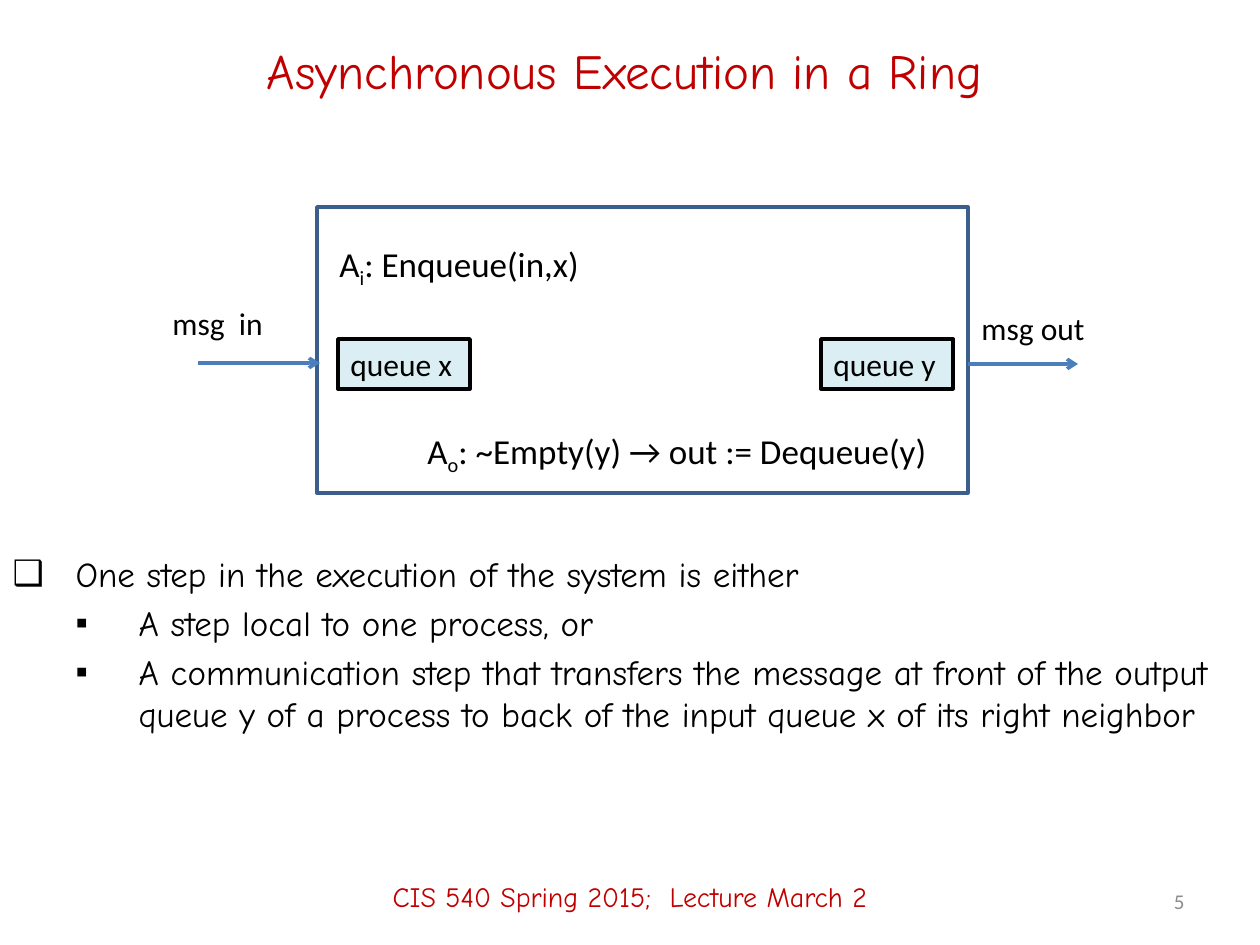
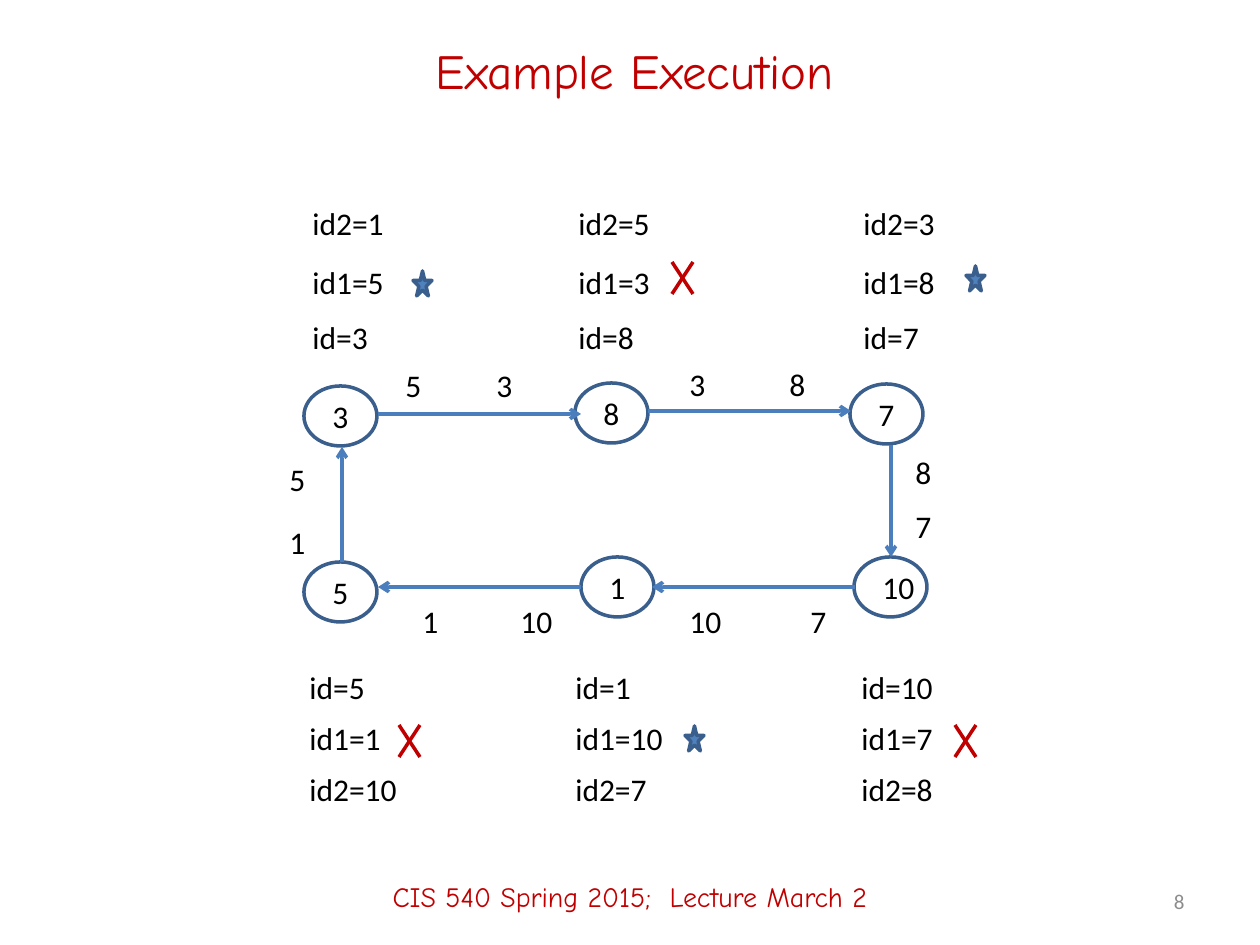
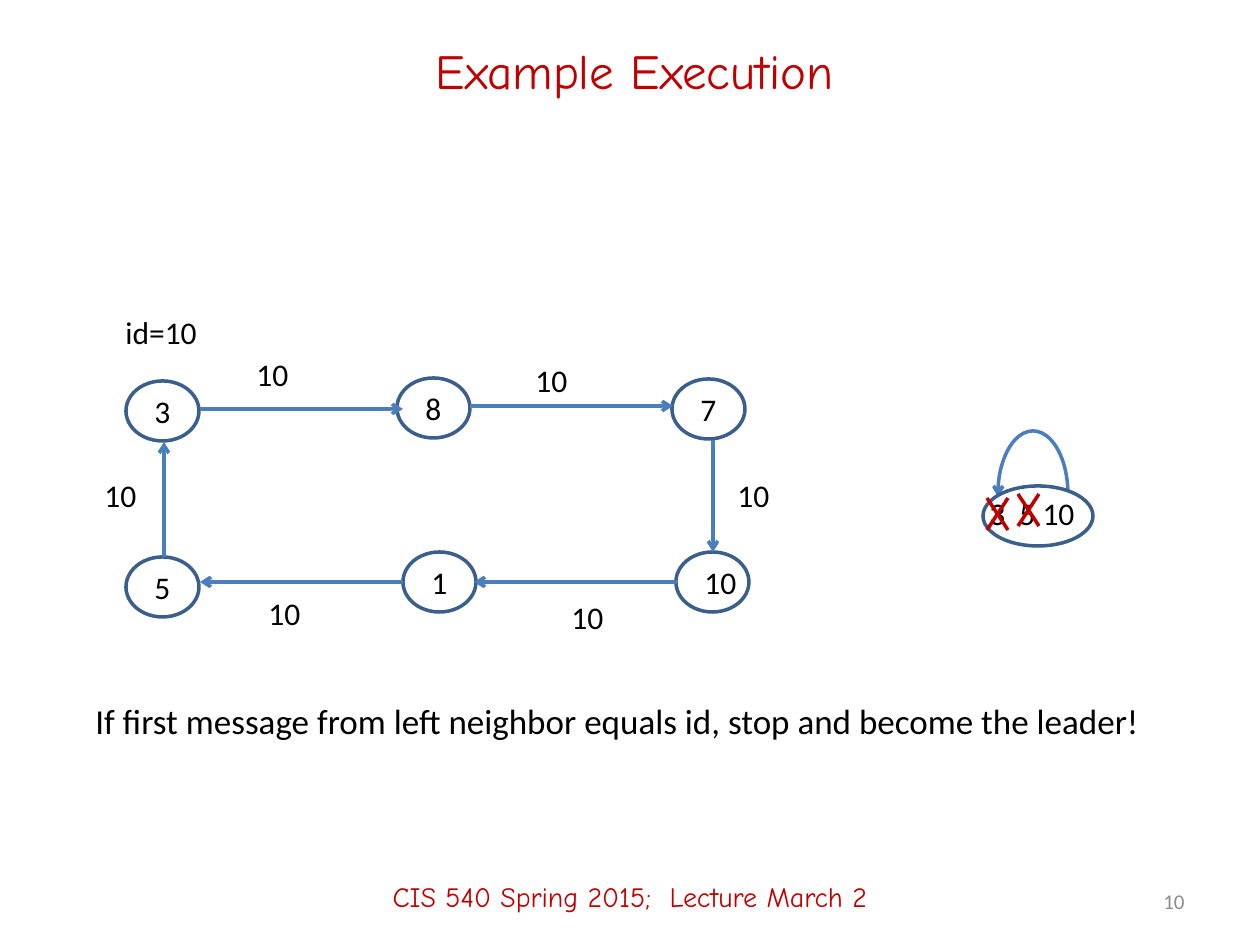
import pptx
import pptx.util
import pptx.dml.color
import pptx.enum.shapes
import pptx.enum.text
import pptx.oxml.ns
import lxml.etree

SCALE = 914400 / 126
RED = pptx.dml.color.RGBColor(0xC0, 0x00, 0x00)
BLACK = pptx.dml.color.RGBColor(0x00, 0x00, 0x00)
GRAY = pptx.dml.color.RGBColor(0x8C, 0x8C, 0x8C)
BLUE = pptx.dml.color.RGBColor(0x4F, 0x81, 0xBD)
ARROW_BLUE = pptx.dml.color.RGBColor(0x4B, 0x7E, 0xBC)
OUTLINE_BLUE = pptx.dml.color.RGBColor(0x3A, 0x5F, 0x8C)
PALE_BLUE = pptx.dml.color.RGBColor(0xDB, 0xEE, 0xF4)

SHAPE = pptx.enum.shapes.MSO_SHAPE
ALIGN = pptx.enum.text.PP_ALIGN
ANCHOR = pptx.enum.text.MSO_ANCHOR
FIT = pptx.enum.text.MSO_AUTO_SIZE
HEADING_FONT = "Comic Neue"
LABEL_FONT = "Calibri"
FOOTER = "CIS 540 Spring 2015;  Lecture March 2"

NODE_SIZE = (73, 60)
RING_NODES = [("3", 0, 3), ("8", 271, 0), ("7", 546, 1),
              ("10", 550, 174), ("1", 277, 174), ("5", 0, 179)]
RING_ARROWS = [((74, 31), (277, 31)), ((344, 28), (547, 28)),
               ((587, 62), (587, 174)), ((551, 204), (348, 204)),
               ((277, 204), (74, 204)), ((38, 179), (38, 64))]


def px(*lengths):
    return [pptx.util.Emu(round(length * SCALE)) for length in lengths]


def set_format(target, formats):
    for name, value in formats.items():
        setattr(target, name, value)


def set_font(font, size, name=LABEL_FONT, color=BLACK):
    set_format(font, {"size": pptx.util.Pt(size), "name": name, "bold": False})
    font.color.rgb = color


def add_xml(parent, tag, **attributes):
    return lxml.etree.SubElement(parent, pptx.oxml.ns.qn(tag), attributes)


def set_line(line, color):
    line.color.rgb = color
    line.width = pptx.util.Pt(2)


def place(shape, left, top, width, height):
    names = ("left", "top", "width", "height")
    set_format(shape, dict(zip(names, px(left, top, width, height))))


def write(box, text, size, name=LABEL_FONT, color=BLACK,
          align=ALIGN.LEFT, anchor=ANCHOR.TOP):
    frame = box.text_frame
    frame.vertical_anchor = anchor
    para = frame.paragraphs[0]
    para.alignment = align
    for index, part in enumerate(text.split("_")):
        span = para.add_run()
        span.text = part
        set_font(span.font, size, name, color)
        if index == 1:
            span._r.get_or_add_rPr().set("baseline", "-25000")


def add_label(page, text, left, top, width=None, size=18):
    natural = 26 + 16 * len(text) - 8 * text.count("i")
    height = 50 if size == 18 else 55
    box = page.shapes.add_textbox(*px(left, top, width or natural, height))
    set_format(box.text_frame, {"word_wrap": width is not None,
                                "auto_size": FIT.SHAPE_TO_FIT_TEXT})
    write(box, text, size)


def add_outline(page, kind, left, top, width, height, fill=None, line=OUTLINE_BLUE):
    shape = page.shapes.add_shape(kind, *px(left, top, width, height))
    shape.shadow.inherit = False
    if fill is None:
        shape.fill.background()
    else:
        shape.fill.solid()
        shape.fill.fore_color.rgb = fill
    set_line(shape.line, line)
    return shape


def add_line(page, start, end, color=ARROW_BLUE, arrow=True):
    line = page.shapes.add_connector(
        pptx.enum.shapes.MSO_CONNECTOR.STRAIGHT, *px(*start, *end))
    set_line(line.line, color)
    if arrow:
        add_xml(line.line._get_or_add_ln(), "a:tailEnd", type="arrow")
    add_xml(line._element.spPr, "a:effectLst")


def add_cross(page, left, top):
    right, bottom = left + 21, top + 32
    add_line(page, (left, top), (right, bottom), RED, False)
    add_line(page, (left, bottom), (right, top), RED, False)


def add_star(page, left, top):
    add_outline(page, SHAPE.STAR_5_POINT, left, top, 19, 25, BLUE)


def add_queue(page, text, left):
    queue = add_outline(page, SHAPE.RECTANGLE, left, 339, 132, 50, PALE_BLUE, BLACK)
    write(queue, text, 18)


def add_ring(page, left, top):
    for name, x, y in RING_NODES:
        add_label(page, name, left + x + 16, top + y + 5)
        add_outline(page, SHAPE.OVAL, left + x, top + y, *NODE_SIZE)
    for start, end in RING_ARROWS:
        add_line(page, (left + start[0], top + start[1]), (left + end[0], top + end[1]))


def add_id_grid(page, columns, rows, texts):
    for top, row in zip(rows, texts):
        for left, text in zip(columns, row):
            add_label(page, text, left, top)


def add_page(deck, layout, title, number, title_left=94):
    page = deck.slides.add_slide(deck.slide_layouts[layout])
    heading = page.shapes.title
    place(heading, title_left, 21, 1081, 98)
    write(heading, title, 28, HEADING_FONT, RED, ALIGN.CENTER, ANCHOR.MIDDLE)
    footer = page.shapes.add_textbox(*px(0, 847, 1260, 98))
    footer.text_frame.word_wrap = True
    write(footer, FOOTER, 16, HEADING_FONT, RED, ALIGN.CENTER, ANCHOR.MIDDLE)
    number_box = page.shapes.add_textbox(*px(903, 876, 294, 50))
    number_box.text_frame.word_wrap = True
    write(number_box, number, 12, LABEL_FONT, GRAY, ALIGN.RIGHT, ANCHOR.MIDDLE)
    return page


def fill_body(body, items):
    place(body, 0, 546, 1239, 299)
    frame = body.text_frame
    frame.auto_size = FIT.NONE
    for index, (level, text) in enumerate(items):
        para = frame.paragraphs[0] if index == 0 else frame.add_paragraph()
        set_format(para, {"text": text, "level": level,
                          "space_before": pptx.util.Pt(4 if index else 0)})
        properties = para._p.get_or_add_pPr()
        properties.set("marL", str(457200 * (level + 1)))
        properties.set("indent", "-457200")
        add_xml(properties, "a:buChar", char="❑▪"[level])
        set_font(para.font, 20, HEADING_FONT)


def build_process(deck):
    page = add_page(deck, 1, "Asynchronous Execution in a Ring", "5", 84)
    fill_body(page.placeholders[1], [
        (0, "One step in the execution of the system is either"),
        (1, "A step local to one process, or"),
        (1, "A communication step that transfers the message at front of the output "
            "queue y of a process to back of the input queue x of its right neighbor"),
    ])
    add_outline(page, SHAPE.RECTANGLE, 317, 207, 651, 286)
    add_line(page, (198, 363), (320, 363))
    add_label(page, "msg  in", 160, 298, 132)
    add_line(page, (968, 364), (1078, 364))
    add_label(page, "msg out", 969, 303, 130)
    add_label(page, "A_i_: Enqueue(in,x)", 327, 236, 393, 20)
    add_queue(page, "queue x", 338)
    add_queue(page, "queue y", 821)
    add_label(page, "A_o_: ~Empty(y) → out := Dequeue(y)", 415, 423, 543, 20)


def build_rounds(deck):
    page = add_page(deck, 5, "Example Execution", "8")
    add_ring(page, 304, 383)
    add_id_grid(page, (300, 566, 851), (198, 257, 312),
                [("id2=1", "id2=5", "id2=3"), ("id1=5", "id1=3", "id1=8"),
                 ("id=3", "id=8", "id=7")])
    add_id_grid(page, (297, 563, 849), (662, 713, 764),
                [("id=5", "id=1", "id=10"), ("id1=1", "id1=10", "id1=7"),
                 ("id2=10", "id2=7", "id2=8")])
    messages = [("5", 393, 360), ("3", 484, 360), ("3", 677, 359), ("8", 777, 359),
                ("8", 903, 447), ("7", 903, 501), ("7", 798, 596), ("10", 677, 596),
                ("10", 508, 596), ("1", 410, 596), ("1", 277, 517), ("5", 277, 454)]
    for text, left, top in messages:
        add_label(page, text, left, top)
    for left, top in [(413, 271), (966, 266), (685, 726)]:
        add_star(page, left, top)
    for left, top in [(955, 725), (672, 262), (399, 725)]:
        add_cross(page, left, top)


def build_leader(deck):
    page = add_page(deck, 5, "Example Execution", "10")
    add_ring(page, 126, 378)
    add_label(page, "id=10", 113, 307)
    for left, top in [(725, 470), (256, 588), (92, 470),
                      (244, 349), (523, 355), (559, 592)]:
        add_label(page, "10", left, top)
    add_label(page, "If first message from left neighbor equals id, "
                    "stop and become the leader!", 83, 693, 1081, 20)
    loop = add_outline(page, SHAPE.ARC, 998, 431, 70, 126, line=ARROW_BLUE)
    loop.adjustments[0] = 105.09
    loop.adjustments[1] = 211.53
    add_xml(loop.line._get_or_add_ln(), "a:headEnd", type="arrow")
    add_label(page, "3  5 10", 977, 488, 112)
    add_outline(page, SHAPE.OVAL, 983, 486, 110, 60)
    add_cross(page, 1018, 494)
    add_cross(page, 987, 498)


def main():
    deck = pptx.Presentation()
    set_format(deck, dict(zip(("slide_width", "slide_height"), px(1260, 945))))
    build_process(deck)
    build_rounds(deck)
    build_leader(deck)
    deck.save("out.pptx")


if __name__ == "__main__":
    main()
